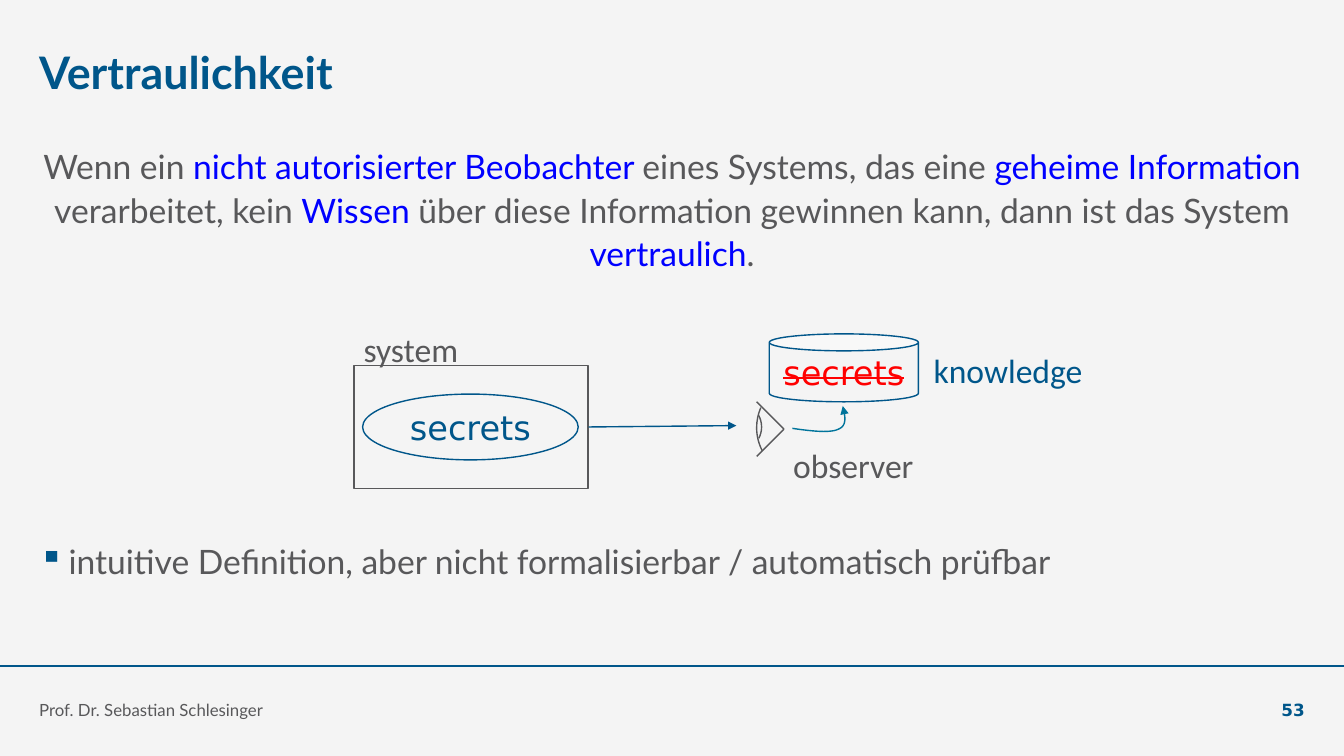
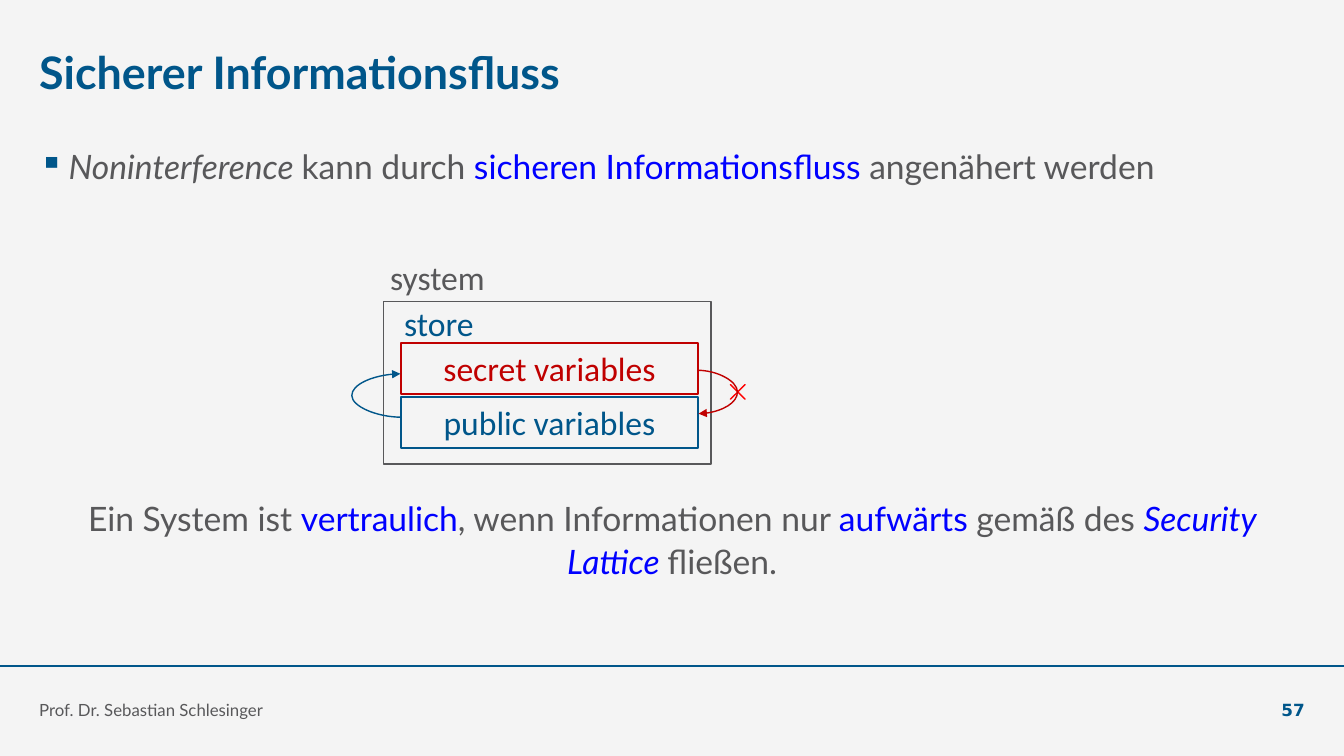
import lxml.etree
import pptx
import pptx.dml.color
import pptx.enum.shapes
import pptx.enum.text
import pptx.oxml.ns
import pptx.util

Pt = pptx.util.Pt
RGB = pptx.dml.color.RGBColor
FORM = pptx.enum.shapes.MSO_SHAPE
LINK = pptx.enum.shapes.MSO_CONNECTOR
ALIGN = pptx.enum.text.PP_ALIGN
ANCHOR = pptx.enum.text.MSO_ANCHOR

PAPER = RGB(0xF4, 0xF4, 0xF4)
NAVY = RGB(0x00, 0x56, 0x8A)
TEAL = RGB(0x00, 0x74, 0x9B)
CYAN = RGB(0x00, 0x9D, 0xD1)
GREY = RGB(0x58, 0x58, 0x5A)
BLUE = RGB(0x00, 0x00, 0xFF)
RED = RGB(0xFF, 0x00, 0x00)
DARK = RGB(0xC0, 0x00, 0x00)

HEAD = {"name": "Lato", "size": Pt(32), "bold": True}
BODY = {"name": "Lato", "size": Pt(24)}
LABEL = {"name": "Calibri", "size": Pt(24)}
TERM = {"name": "DejaVu Sans", "size": Pt(24)}
FOOT = {"name": "Lato", "size": Pt(12)}
PAGE = {"name": "DejaVu Sans", "size": Pt(12), "bold": True}

WIDE, HIGH, EDGE = 960, 540, 28
INNER = WIDE - 2 * EDGE


def node(root, tag, **attrs):
    return lxml.etree.SubElement(root, pptx.oxml.ns.qn(tag), **attrs)


class Deck:
    """Hold the shared style and draw elements on the current slide."""

    def __init__(self):
        self.prs = pptx.Presentation()
        self.prs.slide_width, self.prs.slide_height = Pt(WIDE), Pt(HIGH)

    def page(self, title, number):
        self.slide = self.prs.slides.add_slide(self.prs.slide_layouts[6])
        self.forms = self.slide.shapes
        ground = self.slide.background.fill
        ground.solid()
        ground.fore_color.rgb = PAPER
        self.shape(FORM.RECTANGLE, (0, 475, WIDE, 1.4), None, NAVY)
        self.text((EDGE, 32, 600, 45), [(title, NAVY)], HEAD)
        self.text((EDGE, 486, 662, 28), [("Prof. Dr. Sebastian Schlesinger", GREY)],
                  FOOT, anchor=ANCHOR.BOTTOM)
        self.text((866, 486, 66, 28), [(str(number), NAVY)], PAGE,
                  ALIGN.RIGHT, ANCHOR.BOTTOM)

    def letter(self, shape, runs, style, align, anchor, wrap=True, bullet=False):
        frame = shape.text_frame
        for name, value in {"word_wrap": wrap, "vertical_anchor": anchor,
                            "margin_left": 0, "margin_right": 0,
                            "margin_top": 0, "margin_bottom": 0}.items():
            setattr(frame, name, value)
        para = frame.paragraphs[0]
        if bullet:
            props = para._p.get_or_add_pPr()
            props.set("marL", str(Pt(21)))
            props.set("indent", str(-Pt(21)))
            node(node(props, "a:buClr"), "a:srgbClr", val=str(NAVY))
            node(props, "a:buChar", char="▪")
        para.alignment = align
        if style is BODY:
            para.line_spacing = 1.08
        for words, color, *more in runs:
            run = para.add_run()
            run.text = words
            for name, value in style.items():
                setattr(run.font, name, value)
            run.font.color.rgb = color
            if "italic" in more:
                run.font.italic = True
            if "strike" in more:
                run._r.get_or_add_rPr().set("strike", "sngStrike")

    def text(self, area, runs, style, align=ALIGN.LEFT, anchor=ANCHOR.TOP,
             wrap=True, bullet=False):
        box = self.forms.add_textbox(*map(Pt, area))
        self.letter(box, runs, style, align, anchor, wrap, bullet)

    def prose(self, top, high, runs, bullet=False):
        align = ALIGN.LEFT if bullet else ALIGN.CENTER
        self.text((EDGE, top, INNER, high), runs, BODY, align, bullet=bullet)

    def label(self, area, words, color=GREY):
        self.text(area, [(words, color)], LABEL, ALIGN.CENTER, ANCHOR.MIDDLE, False)

    def stroke(self, shape, color, width=1, arrow=False):
        shape.line.color.rgb = color
        shape.line.width = Pt(width)
        if arrow:
            node(shape.line._get_or_add_ln(), "a:tailEnd", type="triangle")

    def shape(self, form, area, color, fill=None, width=1, runs=(), style=TERM):
        item = self.forms.add_shape(form, *map(Pt, area))
        item.shadow.inherit = False
        if fill is None:
            item.fill.background()
        else:
            item.fill.solid()
            item.fill.fore_color.rgb = fill
        if color is None:
            item.line.fill.background()
        else:
            self.stroke(item, color, width)
        if runs:
            self.letter(item, runs, style, ALIGN.CENTER, ANCHOR.MIDDLE)
        return item

    def arc(self, mid, ray, start, end):
        x, y = mid
        item = self.shape(FORM.ARC, (x - ray, y - ray, 2 * ray, 2 * ray), GREY)
        for i, angle in enumerate((start, end)):
            item.adjustments[i] = angle * 0.6

    def line(self, start, end, color, arrow=False, kind=LINK.STRAIGHT):
        item = self.forms.add_connector(kind, *map(Pt, start + end))
        self.stroke(item, color, arrow=arrow)
        node(item._element.spPr, "a:effectLst")
        return item

    def loop(self, start, end, bulge, color, turn=0):
        item = self.line(start, end, color, True, LINK.CURVE)
        props = item._element.spPr
        props.find(pptx.oxml.ns.qn("a:xfrm")).set("rot", str(turn * 60000))
        geom = props.find(pptx.oxml.ns.qn("a:prstGeom"))
        guides = geom.find(pptx.oxml.ns.qn("a:avLst"))
        if guides is None:
            guides = node(geom, "a:avLst")
        ratio = round(bulge / (end[0] - start[0]) * 100000)
        node(guides, "a:gd", name="adj1", fmla=f"val {ratio}")

    def curve(self, knots, color, steps=12):
        dots = []
        for i in range(0, len(knots) - 1, 3):
            for k in range(1, steps + 1):
                t = k / steps
                mix = ((1 - t) ** 3, 3 * t * (1 - t) ** 2, 3 * t * t * (1 - t), t ** 3)
                dots.append(tuple(Pt(sum(m * p[a] for m, p in zip(mix, knots[i:i + 4])))
                                  for a in (0, 1)))
        pen = self.forms.build_freeform(*map(Pt, knots[0]))
        pen.add_line_segments(dots, close=False)
        item = pen.convert_to_shape()
        item.shadow.inherit = False
        item.fill.background()
        self.stroke(item, color, arrow=True)


def secret(deck):
    deck.page("Vertraulichkeit", 53)
    deck.prose(102, 100, [
        ("Wenn ein ", GREY), ("nicht autorisierter Beobachter ", BLUE),
        ("eines Systems, das eine ", GREY), ("geheime Information ", BLUE),
        ("verarbeitet, kein ", GREY), ("Wissen ", BLUE),
        ("über diese Information gewinnen kann, dann ist das System ", GREY),
        ("vertraulich", BLUE), (".", GREY)])
    deck.prose(384, 36, [
        ("intuitive Definition, aber nicht formalisierbar / automatisch prüfbar", GREY)], True)
    deck.shape(FORM.RECTANGLE, (253, 261, 167, 88), GREY, PAPER)
    deck.label((248, 231, 91, 36), "system")
    deck.shape(FORM.OVAL, (259, 281.5, 154, 47), NAVY, PAPER, runs=[("secrets", NAVY)])
    for y in (287, 326):
        deck.line((540.5, y), (560, 306.5), GREY)
    deck.arc((576.5, 305.5), 36, 152.4, 203.4)
    deck.arc((526.5, 305), 17.5, 330.4, 27.7)
    deck.label((555, 314, 109, 36), "observer")
    deck.shape(FORM.CAN, (549.5, 238.5, 106.5, 48.5), NAVY, PAPER,
               runs=[("secrets", RED, "strike")])
    deck.label((655, 246, 130, 36), "knowledge", NAVY)
    deck.line((420.5, 305), (526, 304), NAVY, True)
    deck.curve([(566, 306), (579.5, 308), (593.5, 309.5), (599, 306.5),
                (605.5, 304), (603.5, 296.5), (602, 290)], TEAL)


def flow(deck):
    deck.page("Sicherer Informationsfluss", 57)
    deck.prose(102, 36, [
        ("Noninterference ", GREY, "italic"), ("kann durch ", GREY),
        ("sicheren Informationsfluss ", BLUE), ("angenähert werden", GREY)], True)
    deck.prose(353, 68, [
        ("Ein System ist ", GREY), ("vertraulich", BLUE),
        (", wenn Informationen nur ", GREY), ("aufwärts ", BLUE),
        ("gemäß des ", GREY), ("Security Lattice ", BLUE, "italic"),
        ("fließen.", GREY)])
    cross = deck.shape(FORM.MATH_MULTIPLY, (517, 270, 20, 20), RED, CYAN)
    cross.adjustments[0] = 0
    deck.shape(FORM.RECTANGLE, (274, 215.5, 234, 116), GREY, PAPER)
    deck.label((267, 180, 91, 36), "system")
    deck.label((279, 212.5, 69, 36), "store", NAVY)
    for i, (name, color) in enumerate((("secret", DARK), ("public", NAVY))):
        deck.shape(FORM.RECTANGLE, (286.5, 245 + 38.5 * i, 212, 36.5), color, width=1.5,
                   runs=[(f"{name} variables", color)], style=LABEL)
    deck.loop((498, 264.5), (499, 295.5), 29, DARK)
    deck.loop((286, 267), (287, 298), 36, NAVY, 180)


def main():
    deck = Deck()
    secret(deck)
    flow(deck)
    deck.prs.save("out.pptx")


if __name__ == "__main__":
    main()
